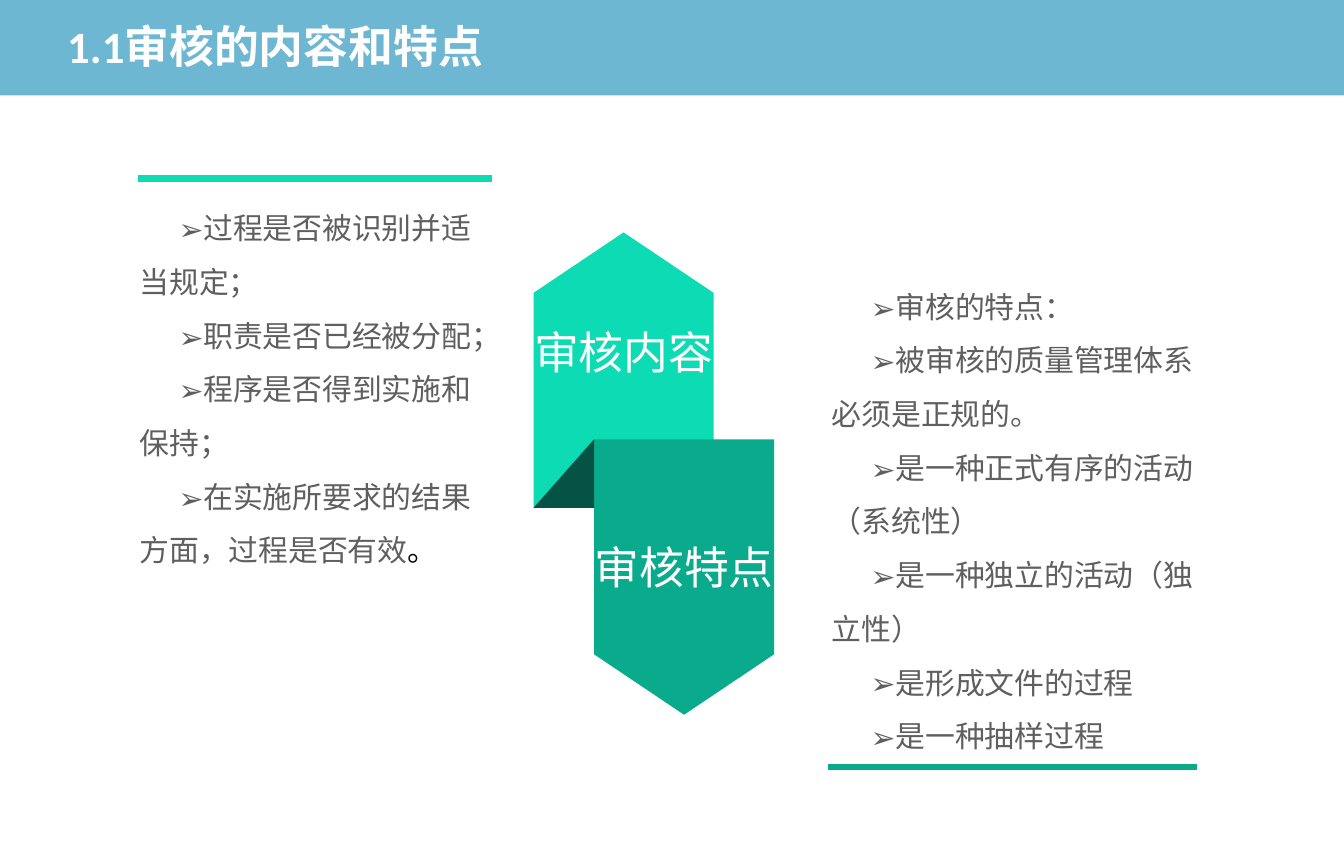
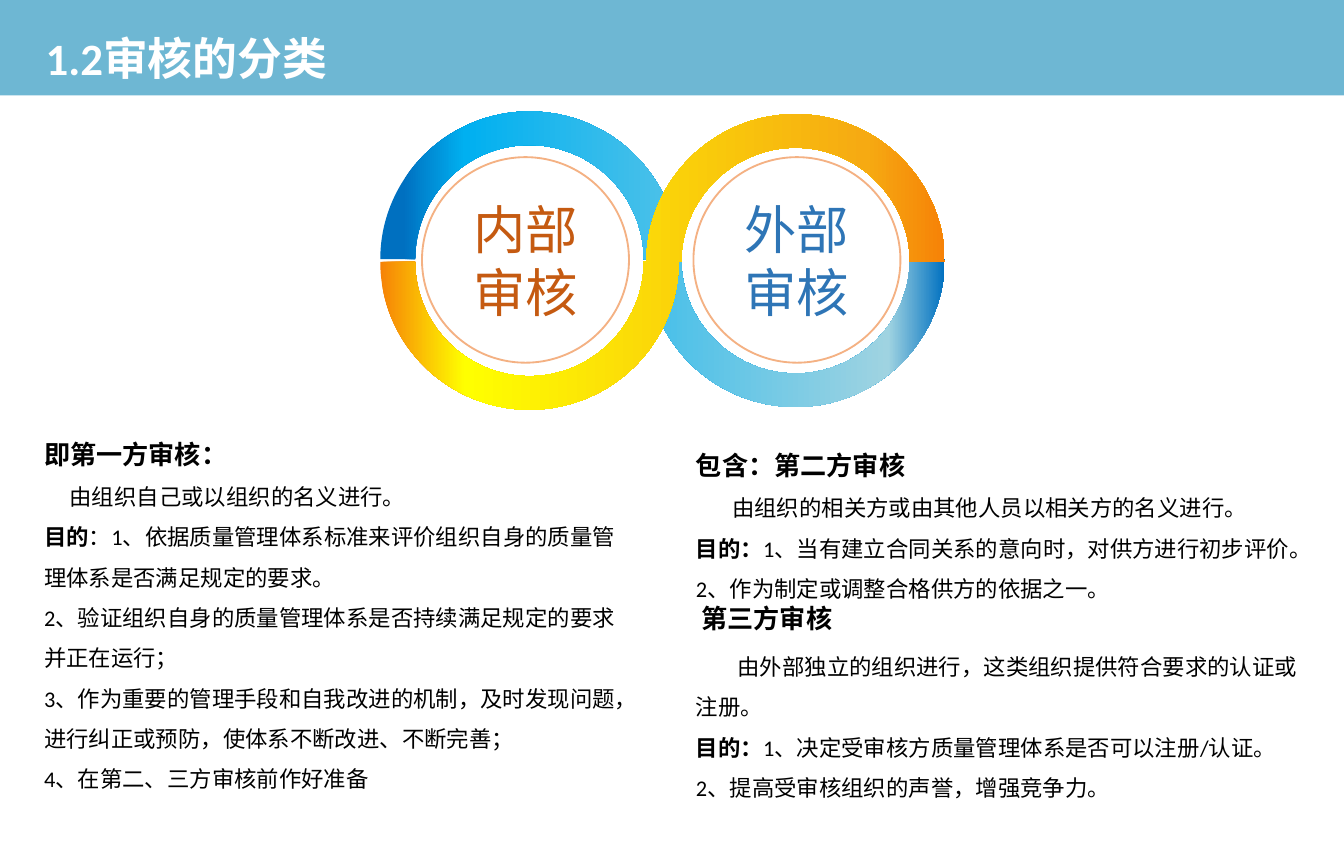
import math

import lxml.etree
import pptx
import pptx.dml.color
import pptx.enum.shapes
import pptx.enum.text
import pptx.oxml.ns
import pptx.util

Inches = pptx.util.Inches
SHAPES = pptx.enum.shapes.MSO_SHAPE
ALIGN = pptx.enum.text.PP_ALIGN
ANCHOR = pptx.enum.text.MSO_ANCHOR
qn = pptx.oxml.ns.qn

# Shared look
LATIN, CHINESE = "Calibri", "Noto Sans CJK SC"
BAND, WHITE, BLACK, GREY = "0082B3", "FFFFFF", "000000", "5F5F5F"
MINT, GREEN, DARK_GREEN = "0DDBB4", "0AAA8C", "055344"
PEACH, RUST, BLUE = "F4B183", "C55A11", "2E75B6"
BLUE_STOPS = [(4, "0070C0"), (15, "00B0F0"), (90, "9FD3E1"), (100, "0070C0")]
ORANGE_STOPS = [(0, "F68207"), (15, "FFFF00"), (86, "F6AA12"), (100, "F68207")]


def rgb(color):
    return pptx.dml.color.RGBColor.from_string(color)


def add_element(parent, tag, **attributes):
    element = lxml.etree.SubElement(parent, qn(tag))
    for key, value in attributes.items():
        element.set(key, str(value))
    return element


def add_text(paragraph, text, size=12, color=BLACK, bold=False, font=LATIN):
    run = paragraph.add_run()
    run.text = text
    run.font.size = pptx.util.Pt(size)
    run.font.bold = bold
    run.font.name = font
    run.font.color.rgb = rgb(color)
    add_element(run._r.get_or_add_rPr(), "a:ea", typeface=CHINESE)


def set_indent(paragraph, first_line, bullet=None):
    properties = paragraph._p.get_or_add_pPr()
    properties.set("marL", "0")
    properties.set("indent", str(Inches(first_line)))
    if bullet:
        add_element(properties, "a:buFont", typeface=CHINESE)
        add_element(properties, "a:buChar", char=bullet)


def set_frame(frame, anchor=ANCHOR.TOP, insets=(0.1, 0.05, 0.1, 0.05), wrap=True):
    frame.word_wrap = wrap
    frame.vertical_anchor = anchor
    (frame.margin_left, frame.margin_top,
     frame.margin_right, frame.margin_bottom) = map(Inches, insets)


def next_paragraph(frame, index):
    return frame.add_paragraph() if index else frame.paragraphs[0]


def paint(shape, fill=None, line=None):
    shape.shadow.inherit = False
    if fill:
        shape.fill.solid()
        shape.fill.fore_color.rgb = rgb(fill)
    else:
        shape.fill.background()
    if line:
        shape.line.color.rgb = rgb(line)
        shape.line.width = pptx.util.Pt(1)
    else:
        shape.line.fill.background()


def add_outline(slide, points):
    corners = [(Inches(x), Inches(y)) for x, y in points]
    builder = slide.shapes.build_freeform(*corners[0])
    builder.add_line_segments(corners[1:], close=True)
    return builder.convert_to_shape()


def add_rule(slide, left, right, y, color):
    rule = slide.shapes.add_connector(
        pptx.enum.shapes.MSO_CONNECTOR.STRAIGHT,
        Inches(left), Inches(y), Inches(right), Inches(y))
    rule.line.color.rgb = rgb(color)
    rule.line.width = pptx.util.Pt(3.5)
    add_element(rule.element.spPr, "a:effectLst")


# Header
def add_header_band(slide):
    """Draw the band, then move it to the layout that all slides share."""
    band = slide.shapes.add_shape(SHAPES.RECTANGLE, 0, 0, Inches(10), Inches(0.71))
    paint(band, BAND)
    add_element(band.element.spPr.find(qn("a:solidFill"))[0], "a:alpha", val=57000)
    slide.slide_layout.shapes.element.insert(2, band.element)


def add_title(slide, text, left, top, width):
    title = slide.shapes.title
    title.left, title.top, title.width, title.height = map(
        Inches, (left, top, width, 0.52))
    set_frame(title.text_frame, insets=(0.11, 0.06, 0.11, 0.06))
    title.text_frame.auto_size = pptx.enum.text.MSO_AUTO_SIZE.SHAPE_TO_FIT_TEXT
    paragraph = title.text_frame.paragraphs[0]
    paragraph.alignment = ALIGN.LEFT
    add_text(paragraph, text, size=24, color=WHITE, bold=True)


# Slide 1: folded ribbon between two lists
def add_ribbon_half(slide, box, text, color, points_up, bottom_inset):
    left, top, width, height = box
    tip = 0.45
    outline = [(0, height), (0, tip), (width / 2, 0), (width, tip), (width, height)]
    if not points_up:
        outline = [(x, height - y) for x, y in outline]
    half = add_outline(slide, [(left + x, top + y) for x, y in outline])
    paint(half, color)
    set_frame(half.text_frame, ANCHOR.MIDDLE, (0, 0, 0, bottom_inset), wrap=False)
    paragraph = half.text_frame.paragraphs[0]
    paragraph.alignment = ALIGN.CENTER
    paragraph.line_spacing = 1.1
    add_text(paragraph, text, size=24, color=WHITE, font=CHINESE)


def add_ribbon(slide, left, top):
    width, height, shift, drop = 1.34, 2.05, 0.45, 1.54
    add_ribbon_half(slide, (left, top, width, height), "审核内容", MINT, True, 0.31)
    add_ribbon_half(slide, (left + shift, top + drop, width, height),
                    "审核特点", GREEN, False, 0.2)
    fold = slide.shapes.add_shape(
        SHAPES.RIGHT_TRIANGLE, Inches(left), Inches(top + drop),
        Inches(shift), Inches(height - drop))
    fold.element.spPr.find(qn("a:xfrm")).set("flipH", "1")
    paint(fold, DARK_GREEN)


def add_bullets(slide, box, items, anchor, full_stop=""):
    frame = slide.shapes.add_textbox(*map(Inches, box)).text_frame
    set_frame(frame, anchor, (0.1,) * 4)
    for index, item in enumerate(items):
        paragraph = next_paragraph(frame, index)
        paragraph.line_spacing = 1.5
        set_indent(paragraph, 0.29, "➢")
        add_text(paragraph, item, size=16, color=GREY, font=CHINESE)
    if full_stop:
        add_text(paragraph, full_stop, size=16)


def build_content_slide(slide):
    add_title(slide, "1.1审核的内容和特点", 0.39, 0.08, 3.44)
    add_ribbon(slide, 3.97, 1.73)
    add_bullets(slide, (0.94, 1.33, 2.74, 3.22), [
        "过程是否被识别并适当规定；",
        "职责是否已经被分配；",
        "程序是否得到实施和保持；",
        "在实施所要求的结果方面，过程是否有效",
    ], ANCHOR.TOP, full_stop="。")
    add_bullets(slide, (6.09, 2.33, 2.89, 3.38), [
        "审核的特点：",
        "被审核的质量管理体系必须是正规的。",
        "是一种正式有序的活动（系统性）",
        "是一种独立的活动（独立性）",
        "是形成文件的过程",
        "是一种抽样过程",
    ], ANCHOR.BOTTOM)
    add_rule(slide, 6.16, 8.91, 5.71, GREEN)
    add_rule(slide, 1.03, 3.66, 1.33, MINT)


# Slide 2: interlaced rings above two text columns
def quarter(center_x, radii, start, end):
    """Return the four Bezier points of a quarter ellipse centred on y = 0."""
    radius_x, radius_y = radii
    pull = math.copysign(0.55, end - start)
    (cos_a, sin_a), (cos_b, sin_b) = [
        (math.cos(math.radians(angle)), math.sin(math.radians(angle)))
        for angle in (start, end)]
    unit_points = [(cos_a, sin_a), (cos_a - pull * sin_a, sin_a + pull * cos_a),
                   (cos_b + pull * sin_b, sin_b - pull * cos_b), (cos_b, sin_b)]
    return [(center_x + radius_x * x, radius_y * y) for x, y in unit_points]


def add_wave(slide, left, top, stops, mirrored=False):
    """Join the upper half of the left ring to the lower half of the right."""
    width, height = 4.2, 2.2
    outer, inner = (1.11, height / 2), (0.85, 0.85)
    first, second = outer[0], width - outer[0]
    curves = [quarter(*arguments) for arguments in (
        (second, outer, 90, 0), (second, inner, 0, 90), (second, inner, 90, 180),
        (first, outer, 0, -90), (first, outer, -90, -180),
        (first, inner, -180, -90), (first, inner, -90, 0),
        (second, outer, 180, 90))]
    wave = add_outline(slide, [(left, top), (left + width, top),
                               (left + width, top + height), (left, top + height)])
    route = wave.element.spPr.find(".//" + qn("a:path"))
    for corner in list(route):
        route.remove(corner)

    def add_step(tag, points):
        step = add_element(route, tag)
        for x, y in points:
            height_above = -y if mirrored else y
            add_element(step, "a:pt", x=Inches(x), y=Inches(height / 2 + height_above))

    for index, (start, *controls_and_end) in enumerate(curves):
        if index == 0:
            add_step("a:moveTo", [start])
        elif math.dist(start, curves[index - 1][-1]) > 0.01:
            add_step("a:lnTo", [start])
        add_step("a:cubicBezTo", controls_and_end)
    add_element(route, "a:close")

    paint(wave)
    wave.fill.gradient()
    wave.fill.gradient_angle = 0
    stop_list = wave.element.spPr.find(".//" + qn("a:gsLst"))
    for old_stop in list(stop_list):
        stop_list.remove(old_stop)
    for position, color in stops:
        stop = add_element(stop_list, "a:gs", pos=position * 1000)
        add_element(stop, "a:srgbClr", val=color)


def add_disc(slide, left, top, text, color):
    disc = slide.shapes.add_shape(
        SHAPES.OVAL, Inches(left), Inches(top), Inches(1.54), Inches(1.53))
    paint(disc, line=PEACH)
    set_frame(disc.text_frame, ANCHOR.MIDDLE, (0,) * 4)
    paragraph = disc.text_frame.paragraphs[0]
    paragraph.alignment = ALIGN.CENTER
    add_text(paragraph, text, size=28, color=color, font=CHINESE)


def add_rings(slide, left, top):
    add_disc(slide, left + 0.31, top + 0.34, "内部审核", RUST)
    add_wave(slide, left, top, BLUE_STOPS)
    add_disc(slide, left + 2.33, top + 0.34, "外部审核", BLUE)
    add_wave(slide, left, top + 0.02, ORANGE_STOPS, mirrored=True)


def add_column(slide, box, entries):
    """Each entry is (bold lead, plain text, indent, line spacing, points before)."""
    frame = slide.shapes.add_textbox(*map(Inches, box)).text_frame
    set_frame(frame, ANCHOR.MIDDLE)
    for index, (lead, body, indent, spacing, *before) in enumerate(entries):
        paragraph = next_paragraph(frame, index)
        paragraph.line_spacing = spacing
        if before:
            paragraph.space_before = pptx.util.Pt(before[0])
        set_indent(paragraph, indent)
        if lead:
            add_text(paragraph, lead, size=12 if body else 14, bold=True)
        if body:
            add_text(paragraph, body)


def build_types_slide(slide):
    add_title(slide, "1.2审核的分类", 0.23, 0.17, 3.36)
    add_rings(slide, 2.83, 0.83)
    add_column(slide, (0.23, 3.29, 4.53, 2.51), [
        ("即第一方审核：", "", 0, 1.3),
        ("", "由组织自己或以组织的名义进行。", 0.19, 1.5),
        ("目的", "：1、依据质量管理体系标准来评价组织自身的质量管理体系是否满足规定的要求。", 0, 1.5),
        ("", "2、验证组织自身的质量管理体系是否持续满足规定的要求并正在运行；", 0, 1.5),
        ("", "3、作为重要的管理手段和自我改进的机制，及时发现问题，进行纠正或预防，"
             "使体系不断改进、不断完善；", 0, 1.5),
        ("", "4、在第二、三方审核前作好准备", 0, 1.5),
    ])
    add_column(slide, (5.08, 3.13, 4.77, 3.05), [
        ("包含：第二方审核", "", 0, 1.0),
        ("", "由组织的相关方或由其他人员以相关方的名义进行。", 0.27, 1.5),
        ("目的：", "1、当有建立合同关系的意向时，对供方进行初步评价。", 0, 1.5),
        ("", "2、作为制定或调整合格供方的依据之一。", 0, 1.5),
        ("第三方审核", "", 0.04, 1.0),
        ("", "由外部独立的组织进行，这类组织提供符合要求的认证或注册。", 0.31, 1.5, 3.5),
        ("目的：", "1、决定受审核方质量管理体系是否可以注册/认证。", 0, 1.5),
        ("", "2、提高受审核组织的声誉，增强竞争力。", 0, 1.5),
    ])


def main():
    deck = pptx.Presentation()
    deck.slide_width, deck.slide_height = Inches(10), Inches(6.26)
    title_only = deck.slide_layouts[5]
    content_slide = deck.slides.add_slide(title_only)
    add_header_band(content_slide)
    build_content_slide(content_slide)
    build_types_slide(deck.slides.add_slide(title_only))
    deck.save("out.pptx")


if __name__ == "__main__":
    main()
